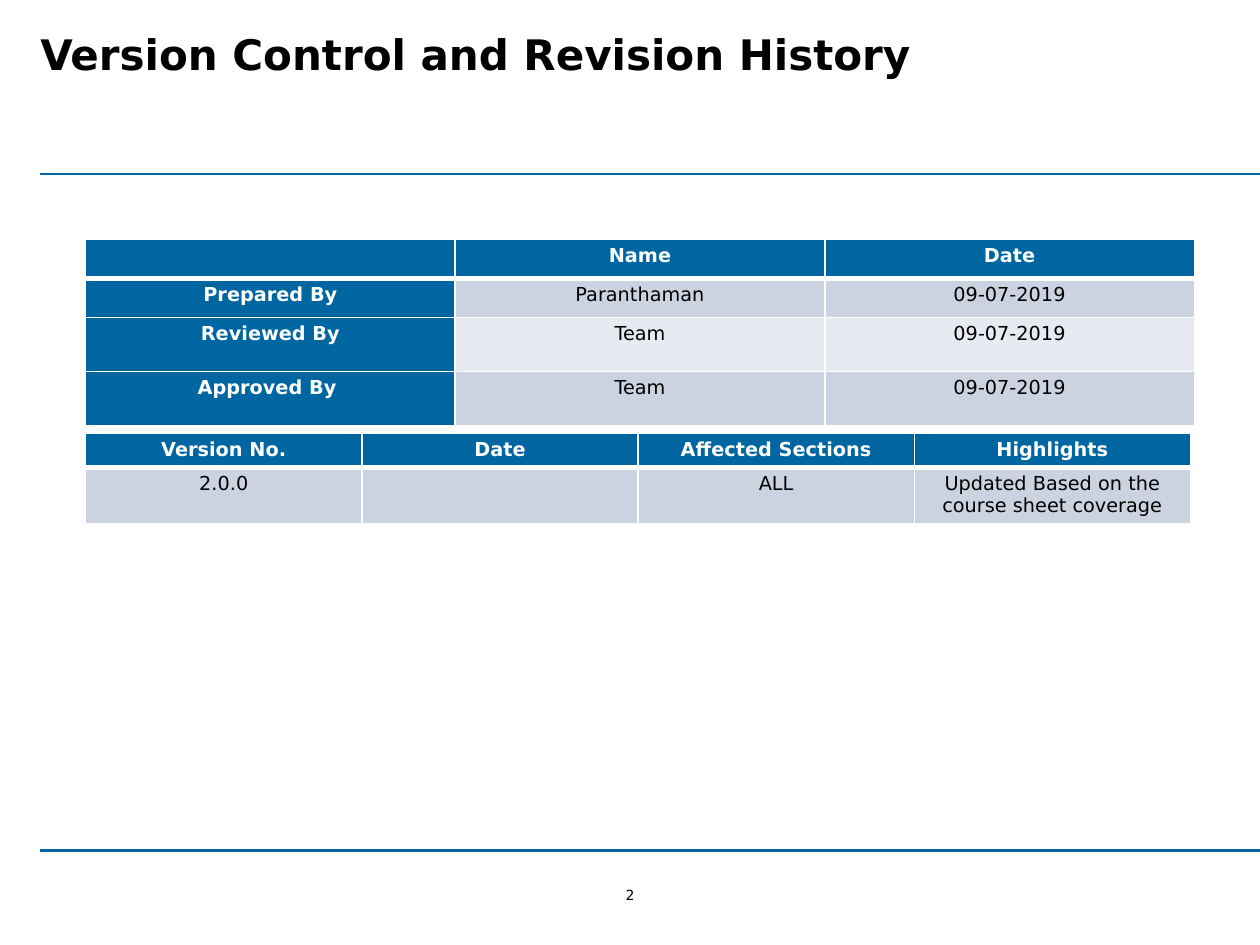
from dataclasses import dataclass

from lxml import etree
from pptx import Presentation
from pptx import util as u
from pptx.dml.color import RGBColor
from pptx.enum import shapes, text
from pptx.oxml.ns import qn

COLOURS = {
    "blue": "0066A1",
    "band_dark": "CCD3E0",
    "band_light": "E7EAF0",
    "white": "FFFFFF",
    "black": "000000",
}
FONT = "DejaVu Sans"
WIDTH, HEIGHT = 10, 7.5
MARGIN = 0.32
CELL_SIZE = 11


@dataclass
class Grid:
    left: float
    top: float
    width: float
    row_heights: list[float]
    rows: list[list[str]]
    label_column: bool = False


@dataclass
class Label:
    box: tuple[float, float, float, float]
    words: str
    size: float
    bold: bool = False
    align: text.PP_ALIGN = text.PP_ALIGN.LEFT
    anchor: text.MSO_ANCHOR = text.MSO_ANCHOR.TOP
    inset: float = 0
    wrap: bool = True


def colour(name: str) -> RGBColor:
    return RGBColor.from_string(COLOURS[name])


def add_run(paragraph, words: str, size: float, ink: str, bold: bool) -> None:
    run = paragraph.add_run()
    run.text = words
    run.font.name = FONT
    run.font.size = u.Pt(size)
    run.font.bold = bold
    run.font.color.rgb = colour(ink)


def draw_label(slide, label: Label) -> None:
    frame = slide.shapes.add_textbox(*map(u.Inches, label.box)).text_frame
    frame.word_wrap = label.wrap
    frame.vertical_anchor = label.anchor
    frame.margin_left = frame.margin_right = 0
    frame.margin_top = frame.margin_bottom = u.Inches(label.inset)
    paragraph = frame.paragraphs[0]
    paragraph.alignment = label.align
    add_run(paragraph, label.words, label.size, "black", label.bold)


def draw_rule(slide, y: float) -> None:
    rule = slide.shapes.add_connector(
        shapes.MSO_CONNECTOR.STRAIGHT,
        u.Inches(MARGIN), u.Inches(y), u.Inches(WIDTH), u.Inches(y))
    rule.line.color.rgb = colour("blue")
    rule.line.width = u.Pt(1.25)
    etree.SubElement(rule._element.spPr, qn("a:effectLst"))


def set_borders(cell, widths: dict[str, float]) -> None:
    properties = cell._tc.get_or_add_tcPr()
    for position, (side, points) in enumerate(widths.items()):
        line = etree.Element(qn(f"a:ln{side}"), w=str(u.Pt(points)))
        fill = etree.SubElement(line, qn("a:solidFill"))
        etree.SubElement(fill, qn("a:srgbClr"), val=COLOURS["white"])
        properties.insert(position, line)


def draw_cell(cell, words: str, row: int, is_label: bool) -> None:
    band = "band_dark" if row % 2 else "band_light"
    cell.fill.solid()
    cell.fill.fore_color.rgb = colour("blue" if is_label else band)
    cell.margin_left = cell.margin_right = u.Inches(0.07)
    cell.margin_top = cell.margin_bottom = u.Inches(0.04)
    # The header is set off by a thick line below it
    set_borders(cell, {"L": 1, "R": 1, "T": 3 if row == 1 else 1,
                       "B": 3 if row == 0 else 1})
    paragraph = cell.text_frame.paragraphs[0]
    paragraph.alignment = text.PP_ALIGN.CENTER
    if words:
        add_run(paragraph, words, CELL_SIZE,
                "white" if is_label else "black", is_label)
    else:
        # An empty cell keeps the text size so its row does not grow
        etree.SubElement(paragraph._p, qn("a:endParaRPr"),
                         sz=str(CELL_SIZE * 100))


def draw_grid(slide, grid: Grid) -> None:
    columns = len(grid.rows[0])
    table = slide.shapes.add_table(
        len(grid.rows), columns, u.Inches(grid.left), u.Inches(grid.top),
        u.Inches(grid.width), u.Inches(sum(grid.row_heights))).table
    table.first_row = table.horz_banding = False
    for column in table.columns:
        column.width = u.Inches(grid.width / columns)
    for r, (height, entries) in enumerate(zip(grid.row_heights, grid.rows)):
        table.rows[r].height = u.Inches(height)
        for c, words in enumerate(entries):
            is_label = r == 0 or (grid.label_column and c == 0)
            draw_cell(table.cell(r, c), words, r, is_label)


SIGN_OFF = Grid(0.68, 1.9, 8.8, [0.31, 0.31, 0.43, 0.43], [
    ["", "Name", "Date"],
    ["Prepared By", "Paranthaman", "09-07-2019"],
    ["Reviewed By", "Team", "09-07-2019"],
    ["Approved By ", "Team", "09-07-2019"],
], label_column=True)

REVISIONS = Grid(0.68, 3.44, 8.77, [0.27, 0.43], [
    ["Version No.", "Date", "Affected Sections", "Highlights"],
    ["2.0.0", "", "ALL", "Updated Based on the course sheet coverage"],
])

TITLE = Label((MARGIN, 0.18, 9.49, 1.05), "Version Control and Revision History",
              24, bold=True, inset=0.05)
PAGE_NUMBER = Label((4.89, 7.04, 0.22, 0.13), "2", 8,
                    align=text.PP_ALIGN.CENTER,
                    anchor=text.MSO_ANCHOR.MIDDLE, wrap=False)


def main() -> None:
    deck = Presentation()
    deck.slide_width, deck.slide_height = u.Inches(WIDTH), u.Inches(HEIGHT)
    slide = deck.slides.add_slide(deck.slide_layouts[6])

    # Page frame
    draw_label(slide, PAGE_NUMBER)
    for y in (1.38, 0.9 * HEIGHT):
        draw_rule(slide, y)

    # Title and tables
    draw_label(slide, TITLE)
    for grid in (SIGN_OFF, REVISIONS):
        draw_grid(slide, grid)

    deck.save("out.pptx")


if __name__ == "__main__":
    main()
